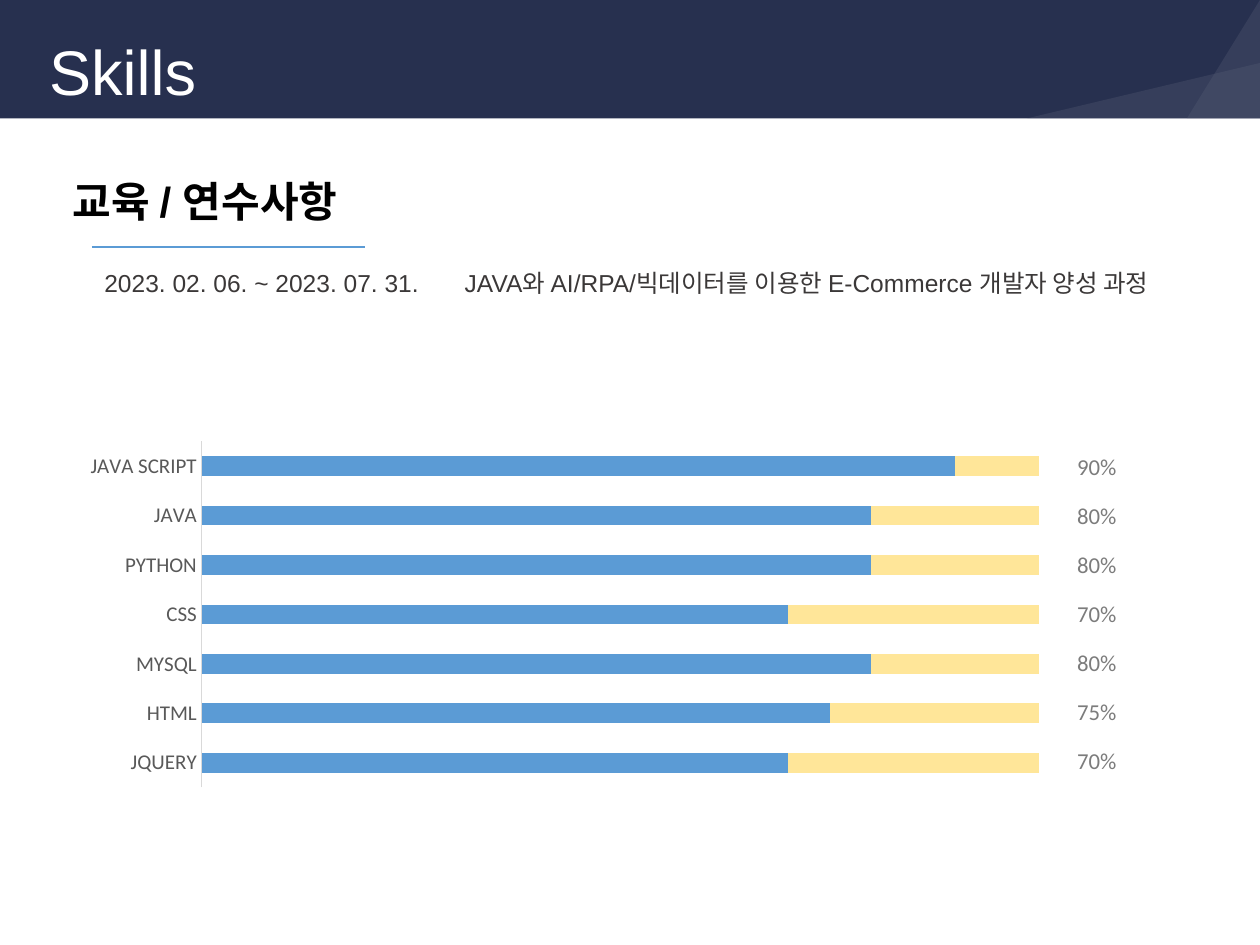
from typing import NamedTuple

from lxml import etree
from pptx import Presentation
from pptx.chart.data import CategoryChartData
from pptx.dml.color import RGBColor
from pptx.enum.chart import XL_CHART_TYPE as ChartType, XL_TICK_MARK as TickMark
from pptx.enum.shapes import MSO_CONNECTOR as Connector, MSO_SHAPE as Shape
from pptx.enum.text import MSO_ANCHOR as Anchor, MSO_AUTO_SIZE as AutoSize, PP_ALIGN as Align
from pptx.oxml import parse_xml
from pptx.oxml.ns import nsdecls, qn
from pptx.util import Inches, Pt

COLORS = {
    "navy": "27304F", "slate": "5D647B", "white": "FFFFFF", "black": "000000",
    "blue": "5B9BD5", "yellow": "FFE699", "gray": "A5A5A5", "axis": "D9D9D9",
    "label": "595959", "percent": "7C7C7C", "body": "3B3838",
}


class Box(NamedTuple):
    left: float
    top: float
    width: float
    height: float

    def lengths(self) -> list:
        return [Inches(value) for value in self]


class Skill(NamedTuple):
    name: str
    percent: int


class Label(NamedTuple):
    text: str
    box: Box
    size: int
    color: str
    font: str = "Arial"
    bold: bool = False
    wrap: bool = True


SKILLS = [
    Skill("JAVA SCRIPT", 90), Skill("JAVA", 80), Skill("PYTHON", 80), Skill("CSS", 70),
    Skill("MYSQL", 80), Skill("HTML", 75), Skill("JQUERY", 70),
]
TRAINING_LABELS = [
    Label("교육 / 연수사항", Box(0.48, 1.34, 2.59, 0.5), 24, "black", bold=True, wrap=False),
    Label("2023. 02. 06. ~ 2023. 07. 31.", Box(0.73, 2.08, 2.75, 0.34), 14, "body", wrap=False),
    Label("JAVA와 AI/RPA/빅데이터를 이용한 E-Commerce 개발자 양성 과정",
          Box(3.59, 2.08, 6.04, 0.34), 14, "body"),
]
PERCENT_TOP, PERCENT_STEP = 3.54, 0.39
PLOT_AREA = {"x": 0.124, "y": 0.044, "w": 0.734, "h": 0.84}


def rgb(name: str) -> RGBColor:
    return RGBColor.from_string(COLORS[name])


def set_font(font, name: str, size: int, color: str, bold: bool = False) -> None:
    font.name, font.size, font.bold = name, Pt(size), bold
    font.color.rgb = rgb(color)


def add_filled_shape(slide, kind: Shape, box: Box, color: str):
    shape = slide.shapes.add_shape(kind, *box.lengths())
    shape.shadow.inherit = False
    shape.fill.solid()
    shape.fill.fore_color.rgb = rgb(color)
    shape.line.fill.background()
    return shape


def add_header_triangle(slide, box: Box) -> None:
    """Add a translucent right triangle with its right angle at the lower right."""
    triangle = add_filled_shape(slide, Shape.RIGHT_TRIANGLE, box, "slate")
    triangle.element.spPr.find(qn("a:xfrm")).set("flipH", "1")
    color = triangle.element.spPr.find(qn("a:solidFill"))[0]
    etree.SubElement(color, qn("a:alpha")).set("val", "28000")


def add_title(slide, text: str) -> None:
    title = slide.shapes.title
    title.left, title.top, title.width, title.height = Box(0, 0, 10, 0.84).lengths()
    title.element.getparent().append(title.element)  # in front of the header band
    frame = title.text_frame
    frame.text = text
    frame.auto_size = AutoSize.NONE
    frame.vertical_anchor = Anchor.MIDDLE
    frame.margin_left, frame.margin_top = Inches(0.39), Inches(0.35)
    frame.margin_right = frame.margin_bottom = 0
    paragraph = frame.paragraphs[0]
    paragraph.alignment = Align.LEFT
    paragraph.line_spacing = 0.9
    set_font(paragraph.runs[0].font, "Arial", 36, "white")


def add_label(slide, label: Label) -> None:
    frame = slide.shapes.add_textbox(*label.box.lengths()).text_frame
    frame.text = label.text
    frame.word_wrap = label.wrap
    frame.auto_size = AutoSize.SHAPE_TO_FIT_TEXT
    set_font(frame.paragraphs[0].runs[0].font, label.font, label.size, label.color, label.bold)


def add_underline(slide) -> None:
    line = slide.shapes.add_connector(
        Connector.STRAIGHT, Inches(0.73), Inches(1.96), Inches(2.9), Inches(1.96))
    line.line.color.rgb = rgb("blue")
    line.line.width = Pt(1.5)
    etree.SubElement(line.element.spPr, qn("a:effectLst"))


def set_plot_layout(chart) -> None:
    """Fix the inner plot area as fractions of the chart."""
    sizes = "".join(f'<c:{key} val="{value}"/>' for key, value in PLOT_AREA.items())
    layout = parse_xml(
        f'<c:layout {nsdecls("c")}><c:manualLayout><c:layoutTarget val="inner"/>'
        f'<c:xMode val="edge"/><c:yMode val="edge"/>{sizes}</c:manualLayout></c:layout>')
    plot_area = chart.element.find(f".//{qn('c:plotArea')}")
    for default in plot_area.findall(qn("c:layout")):
        plot_area.remove(default)
    plot_area.insert(0, layout)


def add_skill_chart(slide) -> None:
    bottom_up = SKILLS[::-1]
    data = CategoryChartData()
    data.categories = [skill.name for skill in bottom_up]
    data.add_series("Series 1", [skill.percent for skill in bottom_up])
    data.add_series("Series 2", [100 - skill.percent for skill in bottom_up])
    data.add_series("Series 3", [None] * len(bottom_up))
    chart = slide.shapes.add_chart(
        ChartType.BAR_STACKED_100, *Box(0.48, 3.36, 9.05, 3.27).lengths(), data).chart
    chart.has_legend = chart.has_title = False
    set_font(chart.font, "Calibri", 10, "black")
    set_plot_layout(chart)

    plot = chart.plots[0]
    plot.gap_width, plot.overlap = 150, 100
    plot.vary_by_categories = False
    for series, color in zip(plot.series, ("blue", "yellow", "gray")):
        series.format.fill.solid()
        series.format.fill.fore_color.rgb = rgb(color)

    names = chart.category_axis
    names.major_tick_mark = names.minor_tick_mark = TickMark.NONE
    names.format.line.color.rgb = rgb("axis")
    names.format.line.width = Pt(0.75)
    set_font(names.tick_labels.font, "Calibri", 12, "label")
    chart.value_axis.visible = False
    chart.value_axis.has_major_gridlines = False


def main() -> None:
    presentation = Presentation()
    presentation.slide_width, presentation.slide_height = Inches(10), Inches(7.5)
    slide = presentation.slides.add_slide(presentation.slide_layouts[5])

    add_filled_shape(slide, Shape.RECTANGLE, Box(0, 0, 10, 0.94), "navy")
    add_header_triangle(slide, Box(8.15, 0.5, 1.85, 0.44))
    add_header_triangle(slide, Box(9.42, 0, 0.58, 0.94))
    add_title(slide, "Skills")

    add_skill_chart(slide)
    for row, skill in enumerate(SKILLS):
        box = Box(8.45, PERCENT_TOP + row * PERCENT_STEP, 0.79, 0.32)
        add_label(slide, Label(f"{skill.percent}%", box, 13, "percent", "Calibri"))

    for label in TRAINING_LABELS:
        add_label(slide, label)
    add_underline(slide)
    presentation.save("out.pptx")


if __name__ == "__main__":
    main()
